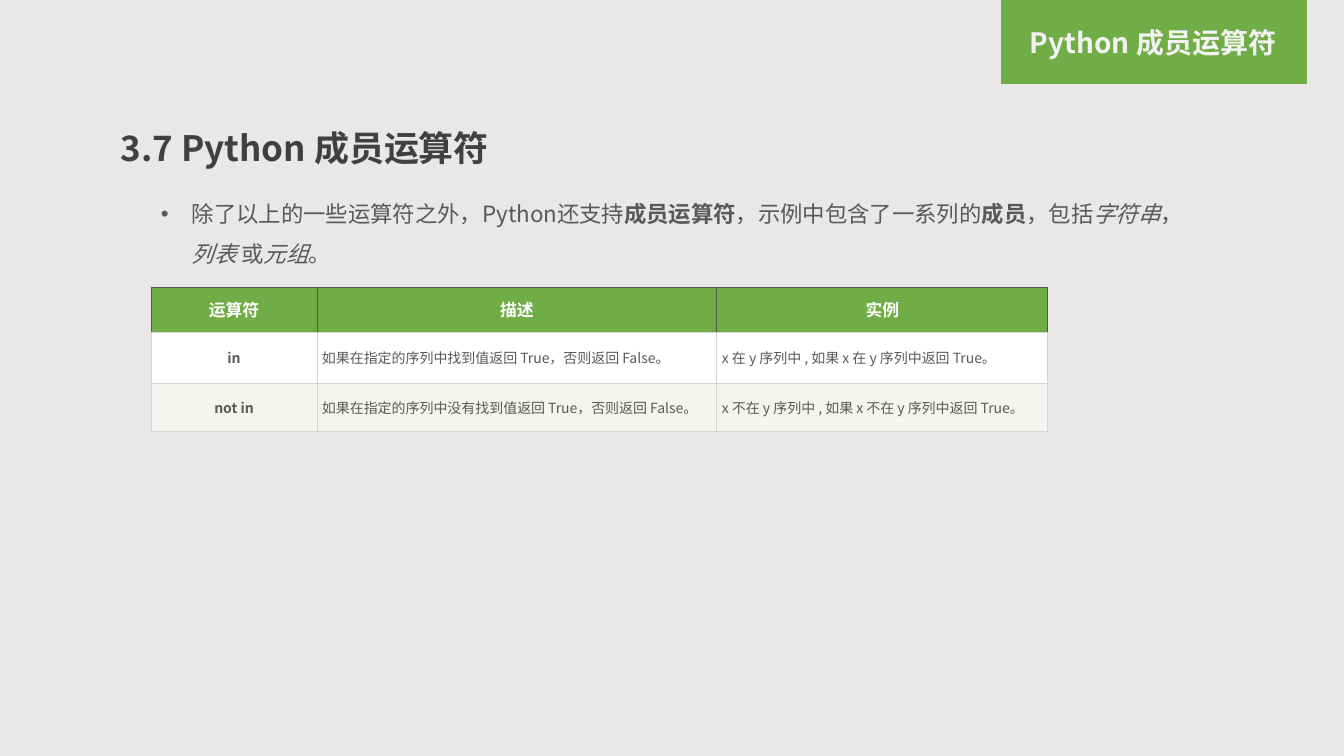
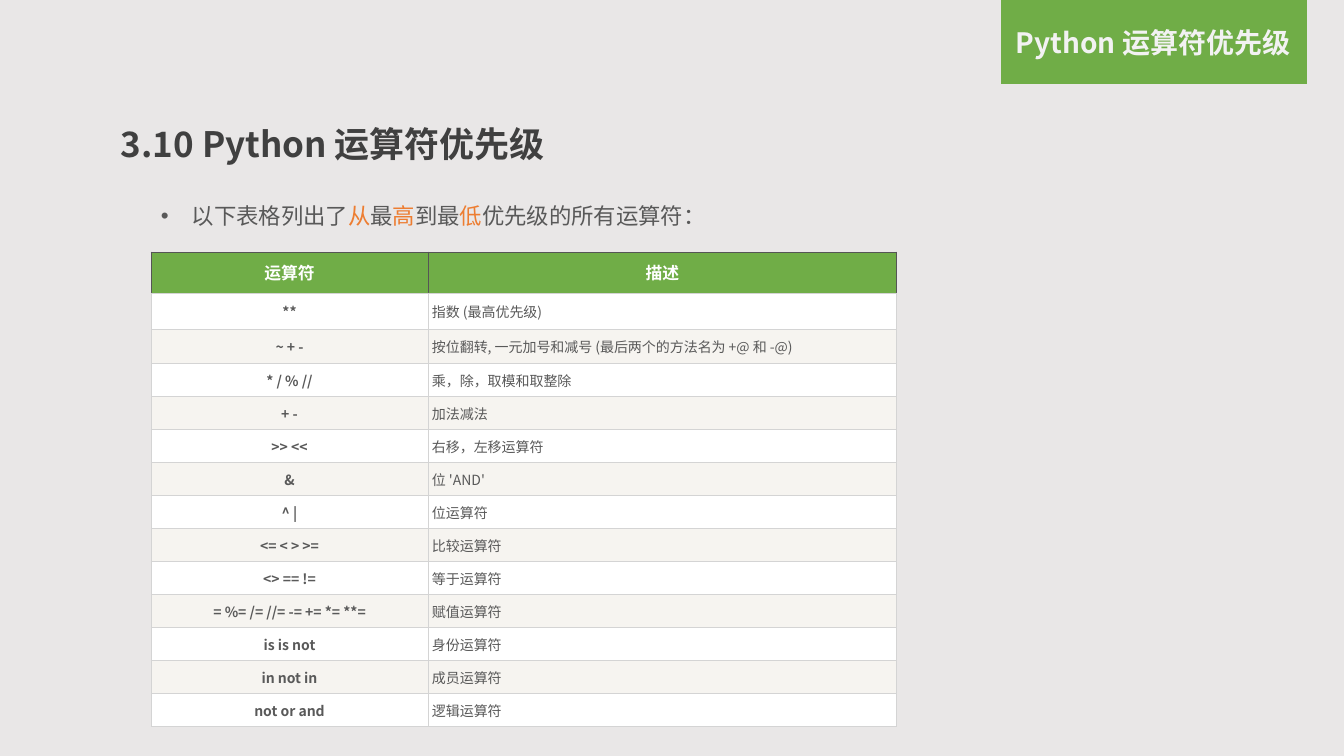
from pptx import Presentation
from pptx.dml.color import RGBColor
from pptx.enum import shapes, text
from pptx.oxml import ns, xmlchemy
from pptx.util import Emu, Pt

SLIDE_W, SLIDE_H = 1344, 756
EMU_PER_PX = 12192000 / SLIDE_W

FONT = "Noto Sans CJK SC"
PAPER = RGBColor(0xE9, 0xE7, 0xE7)
GREEN = RGBColor(0x70, 0xAD, 0x47)
ORANGE = RGBColor(0xED, 0x7D, 0x31)
WHITE = RGBColor(0xFF, 0xFF, 0xFF)
CREAM = RGBColor(0xF6, 0xF4, 0xF0)
LIGHT = RGBColor(0xF2, 0xF2, 0xF2)
HEADING = RGBColor(0x40, 0x40, 0x40)
BODY = RGBColor(0x59, 0x59, 0x59)
RULE = RGBColor(0xD4, 0xD4, 0xD4)
HEAD_RULE = RGBColor(0x55, 0x55, 0x55)

BAND_BOX = (1001, 0, 306, 84)

BOLD, ITALIC, ACCENT = {"bold": True}, {"italic": True}, {"color": ORANGE}


def px(length):
    return Emu(round(length * EMU_PER_PX))


def add_xml(parent, tag, **attributes):
    child = xmlchemy.OxmlElement(tag)
    for key, value in attributes.items():
        child.set(key, str(value))
    parent.append(child)
    return child


def style_run(run, size, color, bold=False, italic=False):
    font = run.font
    font.size, font.bold, font.italic, font.name = Pt(size), bold, italic, FONT
    font.color.rgb = color
    east_asian = xmlchemy.OxmlElement("a:ea")
    east_asian.set("typeface", FONT)
    run._r.get_or_add_rPr().find(ns.qn("a:latin")).addnext(east_asian)


def add_text_box(slide, box, line_spacing):
    frame = slide.shapes.add_textbox(*map(px, box)).text_frame
    frame.word_wrap = True
    paragraph = frame.paragraphs[0]
    paragraph.line_spacing = line_spacing
    return frame, paragraph


# Green band in the top right corner with the topic
def add_topic_band(slide, box, topic):
    band = slide.shapes.add_shape(shapes.MSO_SHAPE.RECTANGLE, *map(px, box))
    band.shadow.inherit = False
    band.fill.solid()
    band.fill.fore_color.rgb = GREEN
    band.line.fill.background()

    left, top, width, height = box
    label_box = (left + 1, top + 23, width - 4, height - 42)
    frame, label = add_text_box(slide, label_box, 0.9)
    frame.vertical_anchor = text.MSO_ANCHOR.MIDDLE
    label.text = topic
    label.alignment = text.PP_ALIGN.CENTER
    style_run(label.runs[0], 20, LIGHT, bold=True)


# Numbered section heading
def add_heading(slide, box, wording):
    _, heading = add_text_box(slide, box, 1.5)
    heading.text = wording
    style_run(heading.runs[0], 25, HEADING, bold=True)


# Bulleted introduction: a list of (wording, emphasis) parts
def add_intro(slide, box, parts):
    _, intro = add_text_box(slide, box, 1.5)
    properties = intro._p.get_or_add_pPr()
    properties.set("marL", str(px(31)))
    properties.set("indent", str(-px(31)))
    add_xml(properties, "a:buFont", typeface="Arial")
    add_xml(properties, "a:buChar", char="•")
    for wording, emphasis in parts:
        run = intro.add_run()
        run.text = wording
        style_run(run, 16, **{"color": BODY, **emphasis})


def set_borders(cell, side_color, top_color):
    properties = cell._tc.get_or_add_tcPr()
    edges = (("L", side_color), ("R", side_color), ("T", top_color), ("B", RULE))
    for position, (side, color) in enumerate(edges):
        line = xmlchemy.OxmlElement(f"a:ln{side}")
        line.set("w", str(Pt(0.75)))
        add_xml(add_xml(line, "a:solidFill"), "a:srgbClr", val=color)
        properties.insert(position, line)


def fill_cell(cell, wording, row, column, padding):
    is_head = row == 0
    cell.fill.solid()
    cell.fill.fore_color.rgb = GREEN if is_head else (CREAM, WHITE)[row % 2]
    cell.vertical_anchor = text.MSO_ANCHOR.MIDDLE
    side, end = (2, 2) if is_head else padding
    cell.margin_left = cell.margin_right = px(side)
    cell.margin_top = cell.margin_bottom = px(end)
    set_borders(cell, *((HEAD_RULE, HEAD_RULE) if is_head else (RULE, RULE)))

    paragraph = cell.text_frame.paragraphs[0]
    paragraph.text = wording
    is_label = is_head or column == 0
    paragraph.alignment = text.PP_ALIGN.CENTER if is_label else text.PP_ALIGN.LEFT
    style_run(paragraph.runs[0], 12 if is_head else 10,
              WHITE if is_head else BODY, bold=is_label)


# Operator table with a green head row and alternating body rows
def add_operator_table(slide, origin, widths, heights, rows, padding):
    size = (sum(widths), sum(heights))
    table = slide.shapes.add_table(len(rows), len(widths),
                                   *map(px, origin + size)).table
    for column, width in zip(table.columns, widths):
        column.width = px(width)
    for row, height in zip(table.rows, heights):
        row.height = px(height)
    for r, row in enumerate(rows):
        for c, wording in enumerate(row):
            fill_cell(table.cell(r, c), wording, r, c, padding)


def new_slide(prs, topic):
    slide = prs.slides.add_slide(prs.slide_layouts[6])
    slide.background.fill.solid()
    slide.background.fill.fore_color.rgb = PAPER
    add_topic_band(slide, BAND_BOX, topic)
    return slide


def membership_slide(prs):
    slide = new_slide(prs, "Python 成员运算符")
    add_intro(slide, (151, 182, 1041, 92), [
        ("除了以上的一些运算符之外，Python还支持", {}),
        ("成员运算符", BOLD),
        ("，示例中包含了一系列的", {}),
        ("成员", BOLD),
        ("，包括", {}),
        ("字符串", ITALIC),
        ("，", {}),
        ("列表 ", ITALIC),
        ("或", {}),
        ("元组", ITALIC),
        ("。", {}),
    ])
    add_heading(slide, (111, 101, 979, 74), "3.7 Python 成员运算符")
    add_operator_table(slide, (151, 287), (166, 400, 331), (45, 52, 44), [
        ("运算符", "描述", "实例"),
        ("in", "如果在指定的序列中找到值返回 True，否则返回 False。",
         "x 在 y 序列中 , 如果 x 在 y 序列中返回 True。"),
        ("not in", "如果在指定的序列中没有找到值返回 True，否则返回 False。",
         "x 不在 y 序列中 , 如果 x 不在 y 序列中返回 True。"),
    ], padding=(5, 7))


def precedence_slide(prs):
    slide = new_slide(prs, "Python 运算符优先级")
    add_heading(slide, (111, 97, 979, 74), "3.10 Python 运算符优先级")
    add_intro(slide, (151, 184, 1041, 50), [
        ("以下表格列出了", {}),
        ("从", ACCENT),
        ("最", {}),
        ("高", ACCENT),
        ("到最", {}),
        ("低", ACCENT),
        ("优先级的所有运算符：", {}),
    ])
    rows = [
        ("运算符", "描述"),
        ("**", "指数 (最高优先级)"),
        ("~ + -", "按位翻转, 一元加号和减号 (最后两个的方法名为 +@ 和 -@)"),
        ("* / % //", "乘，除，取模和取整除"),
        ("+ -", "加法减法"),
        (">> <<", "右移，左移运算符"),
        ("&", "位 'AND'"),
        ("^ |", "位运算符"),
        ("<= < > >=", "比较运算符"),
        ("<> == !=", "等于运算符"),
        ("= %= /= //= -= += *= **=", "赋值运算符"),
        ("is is not", "身份运算符"),
        ("in not in", "成员运算符"),
        ("not or and", "逻辑运算符"),
    ]
    heights = [41, 36, 35] + [33] * (len(rows) - 3)
    add_operator_table(slide, (151, 252), (277, 469), heights, rows,
                       padding=(4, 5))


def main():
    prs = Presentation()
    prs.slide_width, prs.slide_height = px(SLIDE_W), px(SLIDE_H)
    membership_slide(prs)
    precedence_slide(prs)
    prs.save("out.pptx")


if __name__ == "__main__":
    main()
